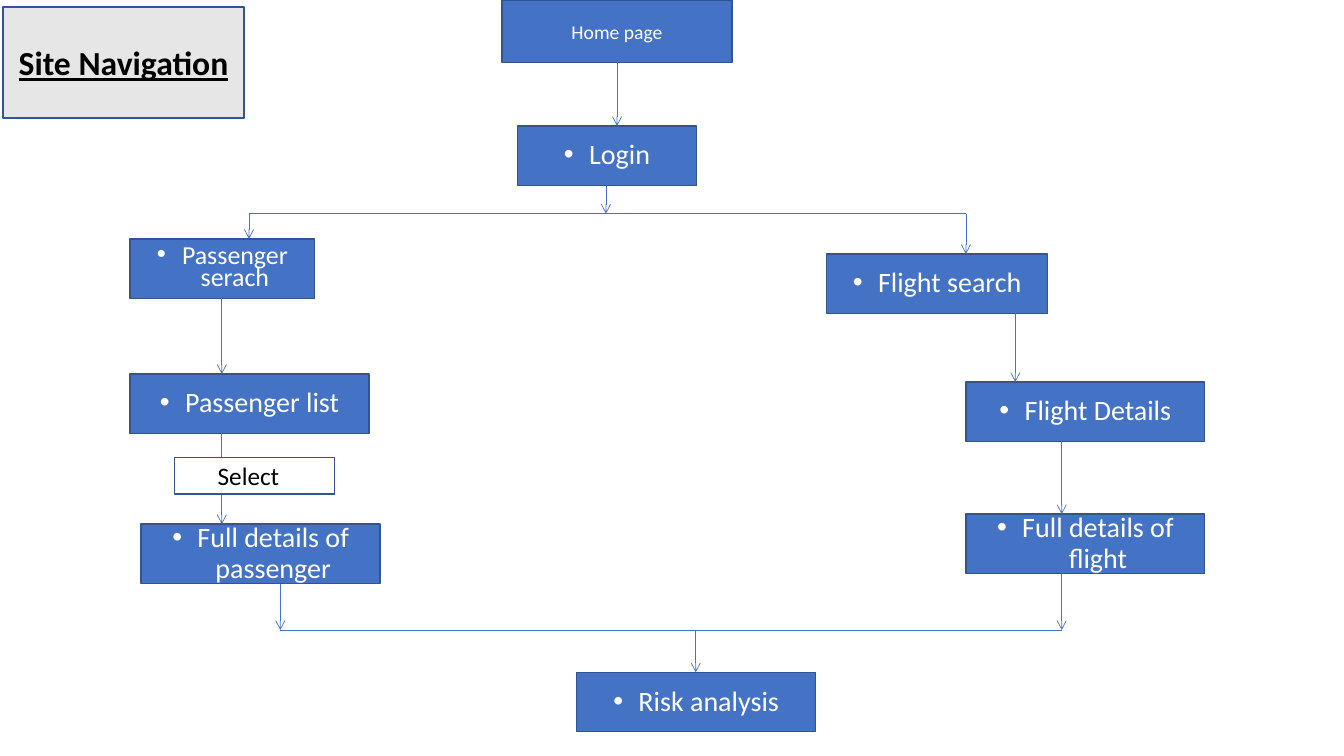
from dataclasses import dataclass

from lxml.etree import SubElement
from pptx import Presentation
from pptx.dml.color import RGBColor
from pptx.enum.shapes import MSO_CONNECTOR, MSO_SHAPE
from pptx.enum.text import MSO_ANCHOR, MSO_AUTO_SIZE, PP_ALIGN
from pptx.oxml.ns import qn
from pptx.util import Inches, Pt


@dataclass(frozen=True)
class Theme:
    font: str = "Calibri"
    blue: str = "4472C4"
    border: str = "325491"
    gray: str = "E7E6E6"
    white: str = "FFFFFF"
    black: str = "000000"
    heading_size: float = 24
    step_size: float = 20
    tight_size: float = 18.5
    select_size: float = 18
    home_size: float = 14


@dataclass(frozen=True)
class Box:
    left: float
    top: float
    width: float = 2.37
    height: float = 0.59

    @property
    def bottom(self):
        return self.top + self.height


THEME = Theme()
HOME = Box(4.98, 0, 2.28, 0.62)
LOGIN = Box(5.13, 1.25, 1.78)
PASSENGER_SEARCH = Box(1.29, 2.37, 1.83)
PASSENGER_LIST = Box(1.29, 3.71)
PASSENGER_DETAILS = Box(1.4, 5.2)
FLIGHT_SEARCH = Box(8.2, 2.52, 2.19)
FLIGHT_DETAILS = Box(9.58, 3.79)
FLIGHT_FULL = Box(9.58, 5.1)
RISK = Box(5.72, 6.67)
HEADING = Box(0.03, 0.07, 2.39, 1.1)
SELECT = Box(1.73, 4.54, 1.59, 0.36)
SPLIT_Y, MERGE_Y = 2.12, 6.25
SPLIT_LEFT, SPLIT_RIGHT = 2.47, 9.58
MERGE_LEFT, MERGE_RIGHT = 2.78, 10.53


def color(value):
    return RGBColor.from_string(value)


def add_rectangle(slide, box):
    rectangle = slide.shapes.add_shape(
        MSO_SHAPE.RECTANGLE, *map(Inches, (box.left, box.top, box.width, box.height)))
    rectangle.shadow.inherit = False
    return rectangle


def style_box(holder, box, text, size, fill=THEME.blue, ink=THEME.white, bold=False):
    holder.left, holder.top = Inches(box.left), Inches(box.top)
    holder.width, holder.height = Inches(box.width), Inches(box.height)
    holder.fill.solid()
    holder.fill.fore_color.rgb = color(fill)
    holder.line.color.rgb = color(THEME.border)
    holder.line.width = Pt(1)
    frame = holder.text_frame
    frame.text = text
    frame.word_wrap = True
    frame.auto_size = MSO_AUTO_SIZE.NONE
    frame.vertical_anchor = MSO_ANCHOR.MIDDLE
    paragraph = frame.paragraphs[0]
    paragraph.alignment = PP_ALIGN.CENTER
    font = paragraph.runs[0].font
    font.name = THEME.font
    font.size = Pt(size)
    font.bold = bold
    font.underline = bold
    font.color.rgb = color(ink)
    return frame


def style_step(holder, box, text, size=THEME.step_size, spacing=0.9):
    paragraph = style_box(holder, box, text, size).paragraphs[0]
    paragraph.line_spacing = spacing
    paragraph.space_before = Pt(10)
    properties = paragraph._p.get_or_add_pPr()
    properties.set("marL", str(Inches(0.25)))
    properties.set("indent", str(Inches(-0.25)))
    SubElement(properties, qn("a:buFont"), typeface="Arial")
    SubElement(properties, qn("a:buChar"), char="•")


def add_line(slide, x1, y1, x2, y2, arrow=False):
    link = slide.shapes.add_connector(
        MSO_CONNECTOR.STRAIGHT, *map(Inches, (x1, y1, x2, y2)))
    link.line.color.rgb = color(THEME.blue)
    link.line.width = Pt(0.5)
    if arrow:
        SubElement(link.line._get_or_add_ln(), qn("a:tailEnd"), type="arrow")
    SubElement(link._element.spPr, qn("a:effectLst"))


def add_links(slide):
    add_line(slide, SPLIT_LEFT, SPLIT_Y, SPLIT_RIGHT, SPLIT_Y)
    add_line(slide, MERGE_LEFT, MERGE_Y, MERGE_RIGHT, MERGE_Y)
    for x, start, end in (
        (6.12, HOME.bottom, LOGIN.top),
        (6.01, LOGIN.bottom, SPLIT_Y),
        (SPLIT_LEFT, SPLIT_Y, PASSENGER_SEARCH.top),
        (SPLIT_RIGHT, SPLIT_Y, FLIGHT_SEARCH.top),
        (2.2, PASSENGER_SEARCH.bottom, PASSENGER_LIST.top),
        (2.2, PASSENGER_LIST.bottom, PASSENGER_DETAILS.top),
        (10.07, FLIGHT_SEARCH.bottom, FLIGHT_DETAILS.top),
        (MERGE_RIGHT, FLIGHT_DETAILS.bottom, FLIGHT_FULL.top),
        (MERGE_RIGHT, FLIGHT_FULL.bottom, MERGE_Y),
        (MERGE_LEFT, PASSENGER_DETAILS.bottom, MERGE_Y),
        (6.9, MERGE_Y, RISK.top),
    ):
        add_line(slide, x, start, x, end, arrow=True)


def main():
    deck = Presentation()
    deck.slide_width, deck.slide_height = Inches(13.33), Inches(7.5)
    slide = deck.slides.add_slide(deck.slide_layouts[1])

    style_box(slide.shapes.title, HEADING, "Site Navigation", THEME.heading_size,
              THEME.gray, THEME.black, bold=True)
    style_step(slide.placeholders[1], PASSENGER_SEARCH, "Passenger serach",
               THEME.tight_size, 0.7)
    style_box(add_rectangle(slide, HOME), HOME, "Home page", THEME.home_size)
    for box, text in (
        (LOGIN, "Login"),
        (FLIGHT_SEARCH, "Flight search"),
        (PASSENGER_LIST, "Passenger list"),
        (FLIGHT_DETAILS, "Flight Details"),
        (PASSENGER_DETAILS, "Full details of passenger"),
        (FLIGHT_FULL, "Full details of flight"),
        (RISK, "Risk analysis"),
    ):
        style_step(add_rectangle(slide, box), box, text)

    add_links(slide)
    select = style_box(add_rectangle(slide, SELECT), SELECT, "Select",
                       THEME.select_size, THEME.white, THEME.black)
    select.margin_right = Inches(0.22)
    deck.save("out.pptx")


main()
